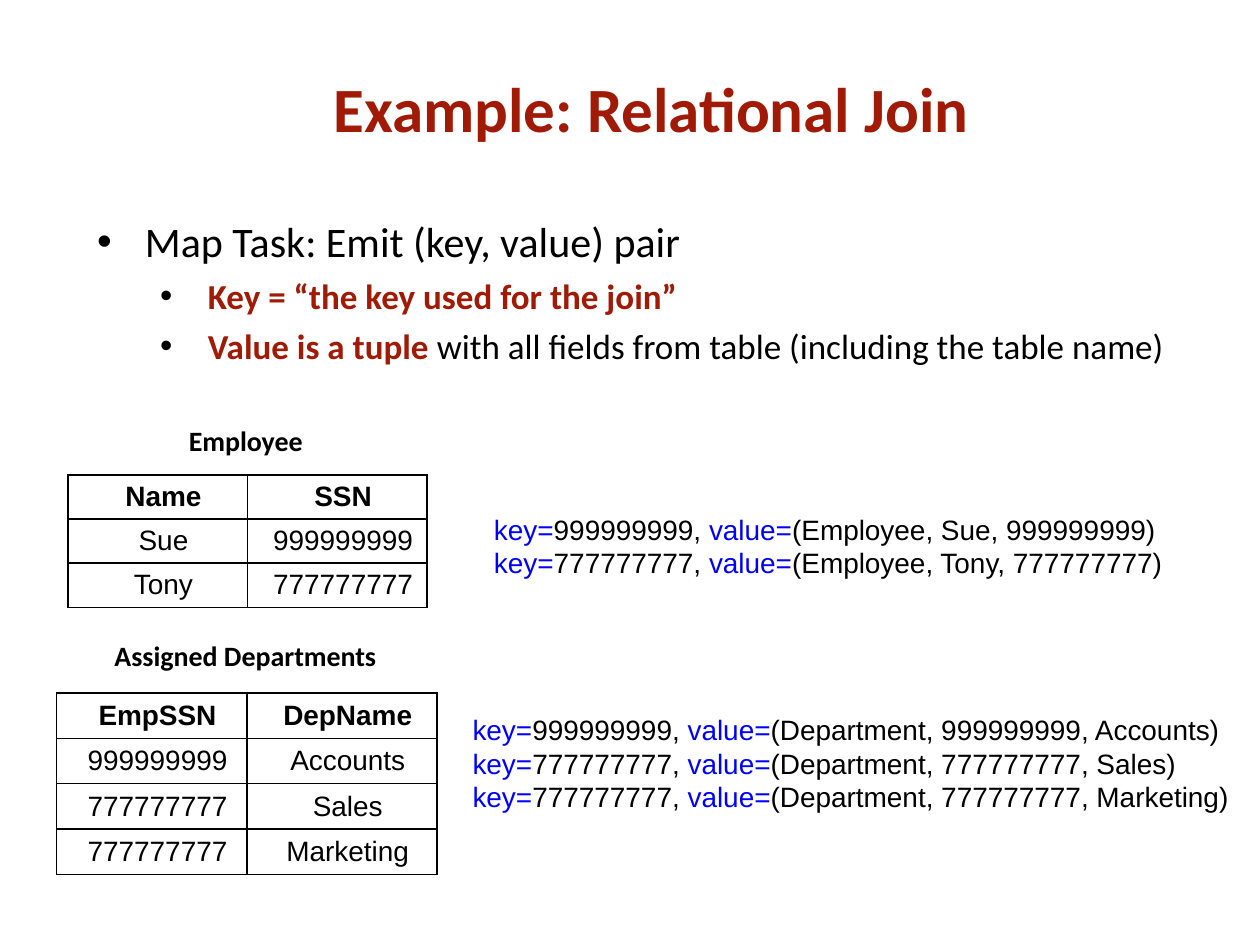
from dataclasses import dataclass

from lxml.etree import SubElement
from pptx import Presentation
from pptx.dml.color import RGBColor
from pptx.enum.text import MSO_ANCHOR as Anchor, MSO_AUTO_SIZE as AutoSize, PP_ALIGN as Align
from pptx.oxml.ns import qn
from pptx.util import Inches, Pt

BLACK = RGBColor(0x00, 0x00, 0x00)
RED = RGBColor(0xA0, 0x1A, 0x06)
BLUE = RGBColor(0x00, 0x00, 0xFF)
HEADING_FONT, DATA_FONT = "Calibri", "Arial"
DATA_SIZE = 16

# The page is a grid of 100 columns by 75 rows of square units.
COLUMNS, ROWS = 100, 75
UNIT = Inches(0.1)


@dataclass(frozen=True)
class Box:
    """A rectangle in grid units."""
    left: float
    top: float
    width: float
    height: float

    def lengths(self) -> tuple[int, ...]:
        return tuple(round(n * UNIT) for n in (self.left, self.top, self.width, self.height))


@dataclass(frozen=True)
class Relation:
    name: str
    tag: str
    label_box: Box
    table_box: Box
    pairs_box: Box
    header: tuple[str, ...]
    records: tuple[tuple[str, ...], ...]
    key_column: int


@dataclass(frozen=True)
class Bullet:
    strong: str
    plain: str
    level: int
    size: int
    indent: float


SUE, TONY = "999999999", "777777777"
RELATIONS = (
    Relation("Employee", "Employee", Box(14, 33.1, 11.2, 3.7), Box(5.4, 37.7, 28.5, 10.5),
             Box(39.2, 40.8, 55.5, 5.4), ("Name", "SSN"),
             (("Sue", SUE), ("Tony", TONY)), key_column=1),
    Relation("Assigned Departments", "Department", Box(8.1, 50.2, 23.1, 3.7),
             Box(4.5, 55, 30.2, 14.4), Box(37.5, 56.7, 61.8, 8), ("EmpSSN", "DepName"),
             ((SUE, "Accounts"), (TONY, "Sales"), (TONY, "Marketing")), key_column=0),
)
BULLETS = (
    Bullet("", "Map Task: Emit (key, value) pair", 0, 24, 3.8),
    Bullet("Key = “the key used for the join”", "", 1, 20, 8.8),
    Bullet("Value is a tuple ", "with all fields from table (including the table name)", 1, 20, 8.8),
)


def place(shape, box: Box) -> None:
    shape.left, shape.top, shape.width, shape.height = box.lengths()


def style(font, face: str, size: int, color: RGBColor, bold: bool = False) -> None:
    font.name, font.size, font.bold = face, Pt(size), bold
    font.color.rgb = color


def add_span(para, text: str, face: str, size: int, color: RGBColor, bold: bool = False) -> None:
    span = para.add_run()
    span.text = text
    style(span.font, face, size, color, bold)


def set_bullet(para, indent: float) -> None:
    """Give the paragraph a black dot hanging to the left of its indent."""
    props = para._p.get_or_add_pPr()
    props.set("marL", str(round(indent * UNIT)))
    props.set("indent", str(-round(3.8 * UNIT)))
    SubElement(SubElement(props, qn("a:buClr")), qn("a:srgbClr")).set("val", str(BLACK))
    SubElement(props, qn("a:buFont")).set("typeface", DATA_FONT)
    SubElement(props, qn("a:buChar")).set("char", "•")


def set_borders(cell) -> None:
    props = cell._tc.get_or_add_tcPr()
    for index, side in enumerate(("lnL", "lnR", "lnT", "lnB")):
        line = props.makeelement(qn(f"a:{side}"), {"w": str(Pt(1))})
        fill = SubElement(line, qn("a:solidFill"))
        SubElement(fill, qn("a:srgbClr")).set("val", str(BLACK))
        props.insert(index, line)


def fill_title(title) -> None:
    place(title, Box(9.2, 5, 85, 12.5))
    frame = title.text_frame
    frame.text = "Example: Relational Join"
    frame.vertical_anchor = Anchor.TOP
    frame.auto_size = AutoSize.NONE
    para = frame.paragraphs[0]
    para.alignment = Align.CENTER
    style(para.runs[0].font, HEADING_FONT, 36, RED, bold=True)


def fill_body(body) -> None:
    place(body, Box(6.7, 15.8, 89.2, 13.8))
    frame = body.text_frame
    frame.auto_size = AutoSize.NONE
    for index, bullet in enumerate(BULLETS):
        para = frame.add_paragraph() if index else frame.paragraphs[0]
        para.level = bullet.level
        para.line_spacing = 1.2
        para.space_before = Pt(0)
        set_bullet(para, bullet.indent)
        for text, color, bold in ((bullet.strong, RED, True), (bullet.plain, BLACK, False)):
            if text:
                add_span(para, text, HEADING_FONT, bullet.size, color, bold)


def add_label(page, relation: Relation) -> None:
    frame = page.shapes.add_textbox(*relation.label_box.lengths()).text_frame
    frame.word_wrap = False
    frame.text = relation.name
    style(frame.paragraphs[0].runs[0].font, HEADING_FONT, DATA_SIZE, BLACK, bold=True)


def add_relation_table(page, relation: Relation) -> None:
    lines = (relation.header, *relation.records)
    table = page.shapes.add_table(len(lines), len(relation.header),
                                  *relation.table_box.lengths()).table
    table.horz_banding = False
    for row, line in enumerate(lines):
        for column, text in enumerate(line):
            cell = table.cell(row, column)
            cell.fill.background()
            set_borders(cell)
            cell.margin_left = round(0.9 * UNIT)
            cell.margin_right = cell.margin_top = cell.margin_bottom = 0
            cell.vertical_anchor = Anchor.MIDDLE
            cell.text = text
            para = cell.text_frame.paragraphs[0]
            para.alignment = Align.CENTER
            style(para.runs[0].font, DATA_FONT, DATA_SIZE, BLACK, bold=row == 0)


def add_pairs(page, relation: Relation) -> None:
    """Write the key and value that the map task emits for each record."""
    frame = page.shapes.add_textbox(*relation.pairs_box.lengths()).text_frame
    frame.word_wrap = True
    frame.margin_left = frame.margin_right = frame.margin_top = frame.margin_bottom = 0
    for index, record in enumerate(relation.records):
        para = frame.add_paragraph() if index else frame.paragraphs[0]
        para.line_spacing = 0.99
        fields = ", ".join((relation.tag, *record))
        for text, color in (("key=", BLUE), (f"{record[relation.key_column]}, ", BLACK),
                            ("value=", BLUE), (f"({fields})", BLACK)):
            add_span(para, text, DATA_FONT, DATA_SIZE, color)


def main() -> None:
    deck = Presentation()
    deck.slide_width, deck.slide_height = COLUMNS * UNIT, ROWS * UNIT
    page = deck.slides.add_slide(deck.slide_layouts[1])
    fill_title(page.shapes.title)
    fill_body(page.placeholders[1])
    for relation in RELATIONS:
        add_label(page, relation)
        add_relation_table(page, relation)
        add_pairs(page, relation)
    deck.save("out.pptx")


if __name__ == "__main__":
    main()
